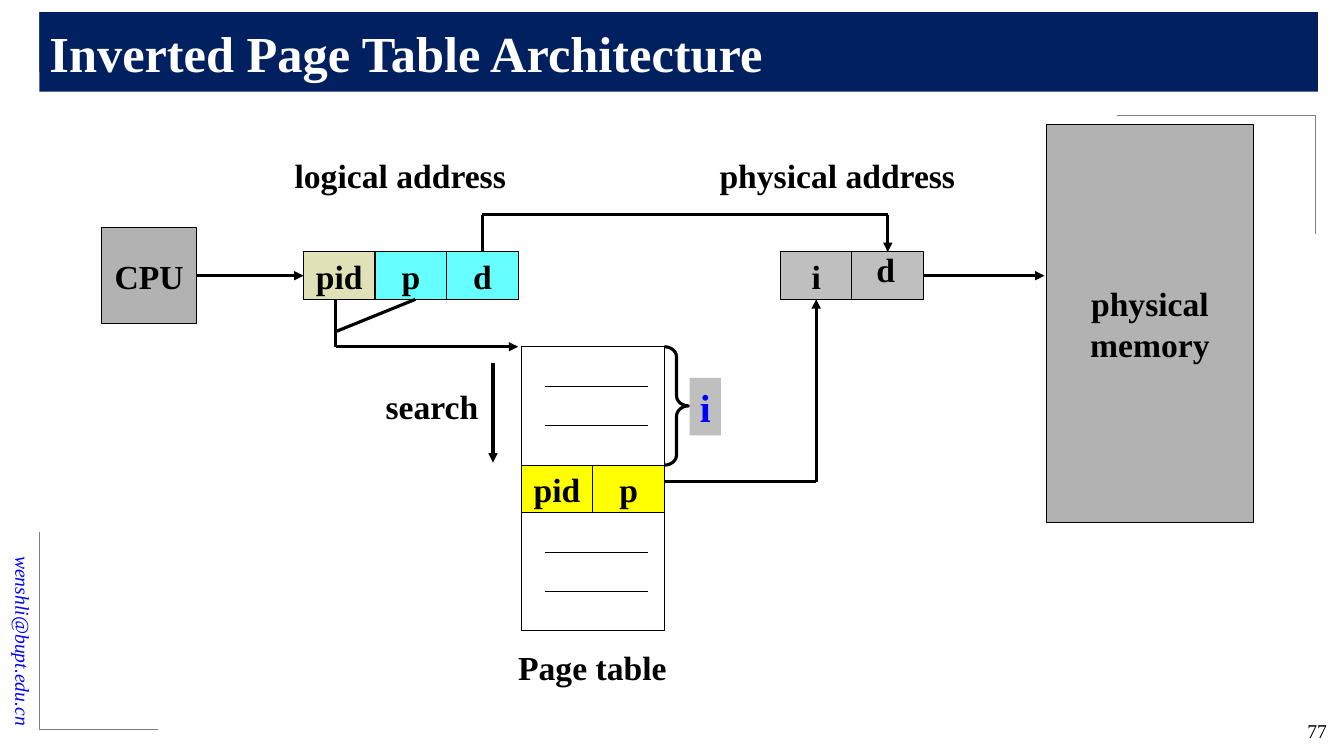
from pptx import Presentation
from pptx.dml.color import RGBColor
from pptx.enum.shapes import MSO_CONNECTOR, MSO_SHAPE
from pptx.enum.text import MSO_ANCHOR, PP_ALIGN
from pptx.oxml.ns import qn
from pptx.util import Inches, Pt
from lxml.etree import SubElement

COLORS = {"black": "000000", "white": "FFFFFF", "navy": "002060", "blue": "0000FF",
          "rule": "808080", "gray": "B2B2B2", "silver": "BFBFBF", "yellow": "FFFF00",
          "khaki": "E1E1B7", "cyan": "66FFFF"}
FONT = "Times New Roman"
COL, ROW = 0.71, 0.47
TOP, LEFT, BOTTOM, RIGHT = range(4)


def rgb(name):
    return RGBColor.from_string(COLORS[name])


def write(sp, text, color="black", align=PP_ALIGN.CENTER, anchor=MSO_ANCHOR.MIDDLE,
          wrap=False, **fmt):
    tf = sp.text_frame
    tf.word_wrap, tf.vertical_anchor = wrap, anchor
    for n, line in enumerate(text.split("\n")):
        p = tf.add_paragraph() if n else tf.paragraphs[0]
        p.alignment = align
        r = p.add_run()
        r.text = line
        for key, value in {"name": FONT, "size": Pt(24), "bold": True, **fmt}.items():
            setattr(r.font, key, value)
        r.font.color.rgb = rgb(color)


def add_label(s, box, text, **fmt):
    sp = s.shapes.add_textbox(*map(Inches, box))
    write(sp, text, **{"anchor": MSO_ANCHOR.TOP, **fmt})
    return sp


def add_box(s, box, fill, text="", border=True, **fmt):
    sp = s.shapes.add_shape(MSO_SHAPE.RECTANGLE, *map(Inches, box))
    sp.shadow.inherit = False
    sp.fill.solid()
    sp.fill.fore_color.rgb = rgb(fill)
    if border:
        sp.line.color.rgb = rgb("black")
        sp.line.width = Pt(0.75)
    else:
        sp.line.fill.background()
    if text:
        write(sp, text, **fmt)
    return sp


def add_path(s, points, arrow=False, begin=None, end=None, color="black", width=2.25):
    for start, stop in zip(points, points[1:]):
        c = s.shapes.add_connector(MSO_CONNECTOR.STRAIGHT, *map(Inches, start + stop))
        c.line.color.rgb = rgb(color)
        c.line.width = Pt(width)
        if begin and start == points[0]:
            c.begin_connect(*begin)
        if end and stop == points[-1]:
            c.end_connect(*end)
        if arrow and stop == points[-1]:
            SubElement(c.line._get_or_add_ln(), qn("a:tailEnd"), type="triangle")
        SubElement(c._element.spPr, qn("a:effectLst"))


def side(sp, site):
    x, y = {TOP: (0.5, 0), LEFT: (0, 0.5), BOTTOM: (0.5, 1), RIGHT: (1, 0.5)}[site]
    return (sp.left + sp.width * x) / Inches(1), (sp.top + sp.height * y) / Inches(1)


def add_frame(s, box):
    x, y, w, h = box
    right, bottom = x + w, y + h
    corners = [[(x, 0.71), (x, y), (2.36, y)],
               [(x, 5.28), (x, bottom), (1.57, bottom)],
               [(right, 2.32), (right, 1.14), (11.08, 1.14)]]
    for points in corners:
        add_path(s, points, color="rule", width=0.5)
    email = add_label(s, (-1.09, 5.81, 2.64, 0.34), "wenshli@bupt.edu.cn", color="blue",
                      align=PP_ALIGN.RIGHT, anchor=MSO_ANCHOR.MIDDLE, wrap=True,
                      size=Pt(14), bold=False, italic=True)
    email.rotation = 90
    add_label(s, (12.15, 7.08, 1.11, 0.36), "77", align=PP_ALIGN.RIGHT, wrap=True,
              size=Pt(14), bold=False)


def add_title(s, box, text):
    sp = s.shapes.title
    sp.left, sp.top, sp.width, sp.height = map(Inches, box)
    sp.fill.solid()
    sp.fill.fore_color.rgb = rgb("navy")
    write(sp, text, color="white", align=PP_ALIGN.LEFT, wrap=True, size=Pt(36))
    s.shapes._spTree.append(sp._element)


def add_fields(s, x, y, fields):
    return [add_box(s, (x + n * COL, y, COL, ROW), fill, text)
            for n, (text, fill) in enumerate(fields)]


def add_page_table(s, x, y):
    w, h = 2 * COL, 2.5 * ROW
    for top in (y, y + h + ROW):
        add_box(s, (x, top, w, h), "white")
        for n in (1, 2):
            line_y = top + n * h / 3
            add_path(s, [(x + 0.24, line_y), (x + w - 0.16, line_y)], width=0.75)
    add_fields(s, x, y + h, [("pid", "yellow"), ("p", "yellow")])
    add_label(s, (x - 0.13, y + 2 * h + ROW + 0.11, 1.67, 0.5), "Page table")

    brace = s.shapes.add_shape(MSO_SHAPE.RIGHT_BRACE, *map(Inches, (x + w, y, 0.24, h)))
    brace.shadow.inherit = False
    brace.adjustments[0] = 0.417
    brace.fill.background()
    brace.line.color.rgb = rgb("black")
    brace.line.width = Pt(2.25)
    add_box(s, (x + w + 0.25, y + 0.31, 0.31, 0.57), "silver", "i", border=False,
            color="blue", anchor=MSO_ANCHOR.TOP, size=Pt(28))

    add_path(s, [(x - 0.28, y + 0.16), (x - 0.28, y + 1.15)], arrow=True)
    add_label(s, (x - 1.45, y + 0.34, 1.13, 0.51), "search")


def add_translation(s, box):
    x, y, w, h = box
    cell_y, table_x, table_y = y + 1.26, x + 4.16, y + 2.2
    cpu = add_box(s, (x, y + 1.02, 0.94, 0.95), "gray", "CPU")
    add_box(s, (x + w - 2.05, y, 2.05, h), "gray", "physical\nmemory")
    pid, page, offset = add_fields(s, x + 2, cell_y,
                                   [("pid", "khaki"), ("p", "cyan"), ("d", "cyan")])
    frame, frame_offset = add_fields(s, x + 6.73, cell_y, [("i", "silver"), ("", "silver")])
    add_label(s, (x + 1.81, y + 0.25, 2.3, 0.5), "logical address")
    add_label(s, (x + 6.02, y + 0.25, 2.55, 0.5), "physical address")
    add_page_table(s, table_x, table_y)

    add_path(s, [side(cpu, RIGHT), side(pid, LEFT)], True, (cpu, RIGHT), (pid, LEFT))
    start = side(frame_offset, RIGHT)
    add_path(s, [start, (x + w - 2.07, start[1])], True, (frame_offset, RIGHT))

    start, stop = side(offset, TOP), side(frame_offset, TOP)
    add_path(s, [start, (start[0], y + 0.89), (stop[0], y + 0.89), stop],
             True, (offset, TOP), (frame_offset, TOP))

    stop, entry_y = side(frame, BOTTOM), table_y + 1.34
    add_path(s, [(table_x + 2 * COL, entry_y), (stop[0], entry_y), stop],
             True, end=(frame, BOTTOM))

    drop_x, cell_bottom = x + 2.32, cell_y + ROW
    add_path(s, [(drop_x, cell_bottom), (drop_x, table_y), (table_x - 0.03, table_y)], True)
    add_path(s, [(x + 3.11, cell_bottom), (drop_x, cell_bottom + 0.32)])
    add_label(s, (x + 7.58, cell_y - 0.08, 0.39, 0.5), "d")


def main():
    prs = Presentation()
    prs.slide_width, prs.slide_height = Inches(13.33), Inches(7.5)
    s = prs.slides.add_slide(prs.slide_layouts[5])
    add_frame(s, (0.39, 0.12, 12.66, 7.12))
    add_title(s, (0.39, 0.12, 12.68, 0.79), "Inverted Page Table Architecture")
    add_translation(s, (1.01, 1.24, 11.42, 3.94))
    prs.save("out.pptx")


if __name__ == "__main__":
    main()
